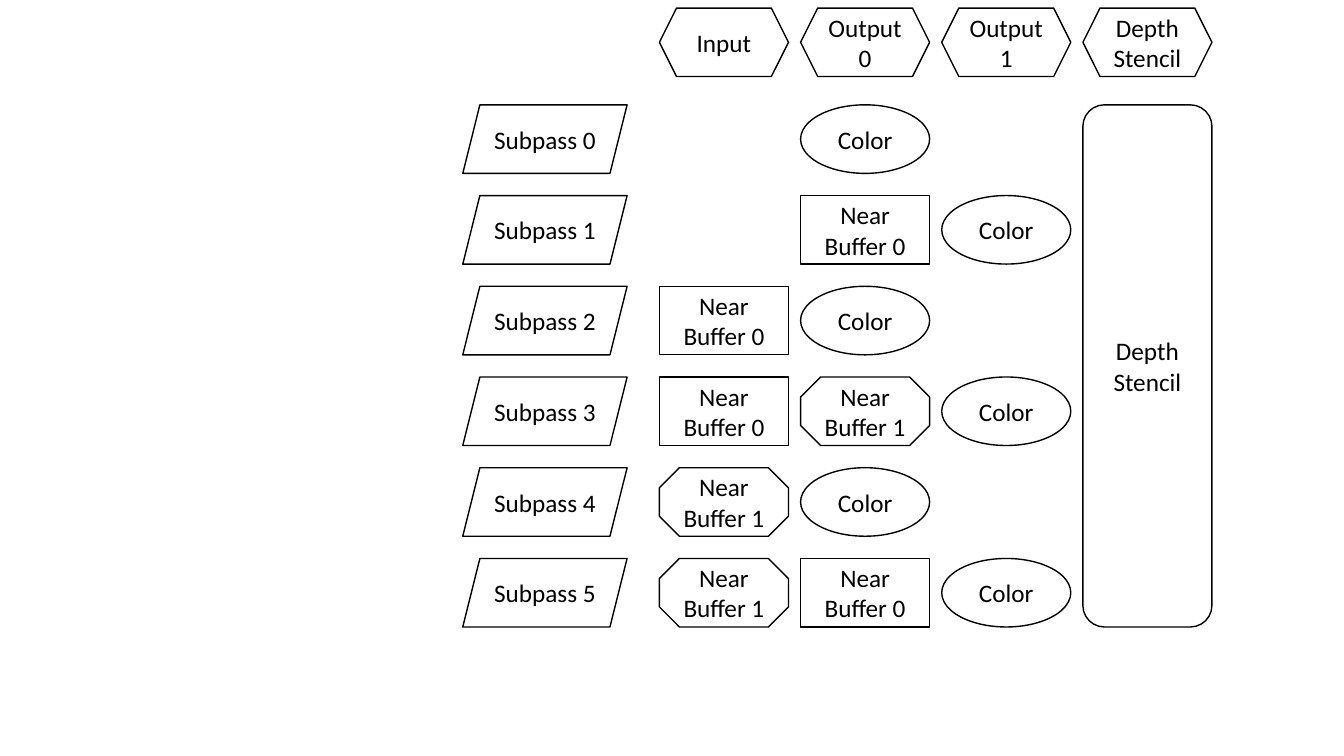
from pptx import Presentation
from pptx.dml.color import RGBColor
from pptx.enum.shapes import MSO_SHAPE
from pptx.enum.text import MSO_ANCHOR, PP_ALIGN
from pptx.util import Inches, Pt

prs = Presentation()
prs.slide_width = Inches(13.33)
prs.slide_height = Inches(7.5)
slide = prs.slides.add_slide(prs.slide_layouts[6])


def color(hex_code):
    return RGBColor.from_string(hex_code)


def add_node(kind, text, left, top, width=1.28, height=0.68):
    node = slide.shapes.add_shape(kind, Inches(left), Inches(top), Inches(width), Inches(height))
    node.shadow.inherit = False
    node.fill.solid()
    node.fill.fore_color.rgb = color("FFFFFF")
    node.line.color.rgb = color("000000")
    node.line.width = Pt(1)
    frame = node.text_frame
    frame.word_wrap = True
    frame.vertical_anchor = MSO_ANCHOR.MIDDLE
    frame.text = text
    for paragraph in frame.paragraphs:
        paragraph.alignment = PP_ALIGN.CENTER
        paragraph.font.name = "Calibri"
        paragraph.font.size = Pt(18)
        paragraph.font.color.rgb = color("000000")
    return node


column_lefts = [6.54 + 1.4 * column for column in range(4)]
row_tops = [1.04 + 0.9 * row for row in range(6)]

for left, heading in zip(column_lefts, ["Input", "Output 0", "Output 1", "Depth Stencil"]):
    add_node(MSO_SHAPE.HEXAGON, heading, left, 0.08)

COLOR = (MSO_SHAPE.OVAL, "Color")
NEAR_0 = (MSO_SHAPE.RECTANGLE, "Near\nBuffer 0")
NEAR_1 = (MSO_SHAPE.OCTAGON, "Near Buffer 1")

subpasses = [
    [None, COLOR, None],
    [None, NEAR_0, COLOR],
    [NEAR_0, COLOR, None],
    [NEAR_0, NEAR_1, COLOR],
    [NEAR_1, COLOR, None],
    [NEAR_1, NEAR_0, COLOR],
]

for number, (top, attachments) in enumerate(zip(row_tops, subpasses)):
    label = add_node(MSO_SHAPE.PARALLELOGRAM, f"Subpass {number}", 4.59, top, width=1.63)
    label.text_frame.margin_left = label.text_frame.margin_right = 0
    for left, attachment in zip(column_lefts, attachments):
        if attachment:
            add_node(*attachment, left, top)

add_node(MSO_SHAPE.ROUNDED_RECTANGLE, "Depth Stencil", column_lefts[3], row_tops[0], height=5.18)

prs.save("out.pptx")
